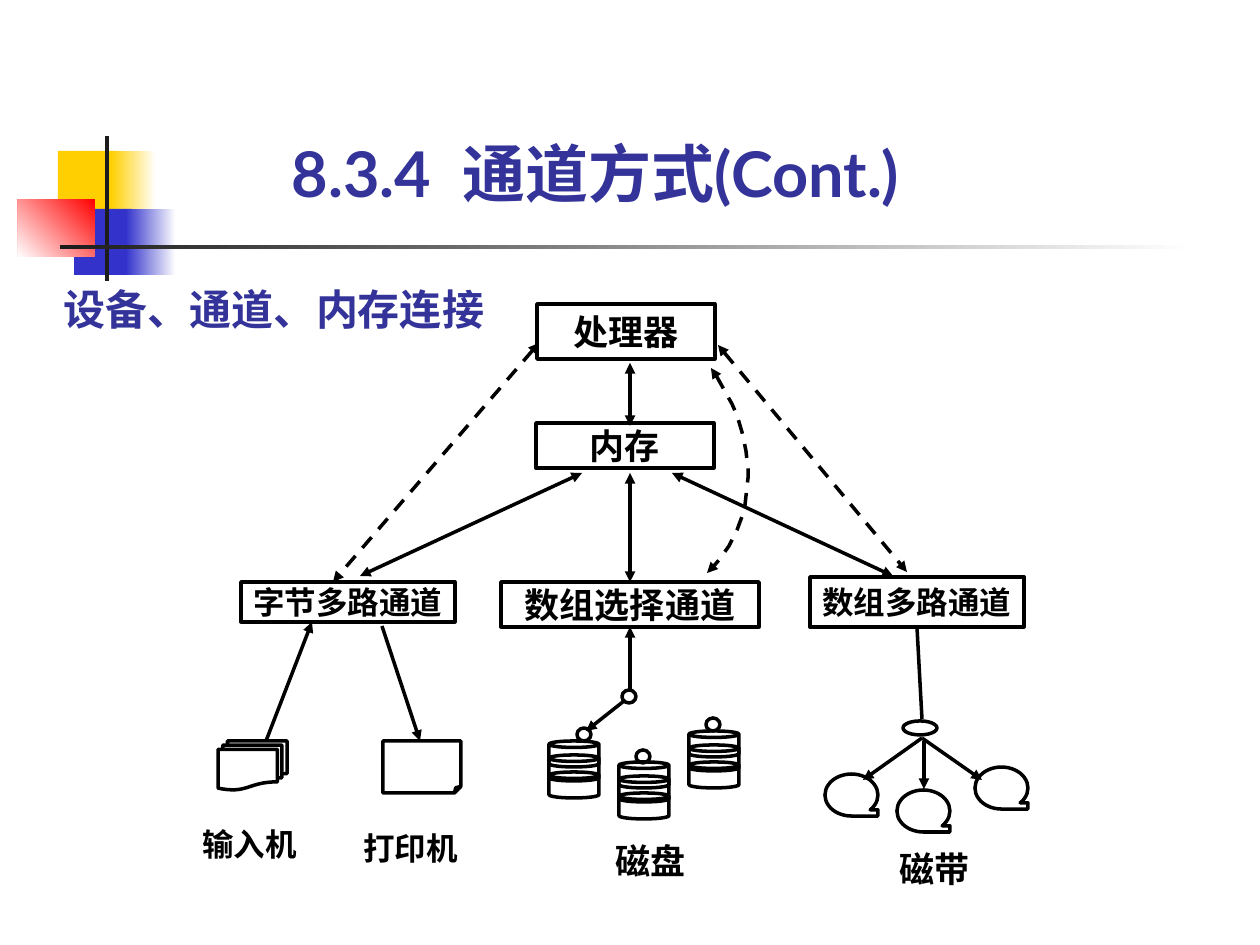
from pptx import Presentation
from pptx import util as u
from pptx.dml.color import RGBColor
from pptx.enum import dml, shapes, text
from pptx.oxml.ns import qn
from lxml import etree

SCALE = 914400 / 126
SHAPE = shapes.MSO_SHAPE
BLACK = "000000"
NAVY = "333399"


def px(value):
    return u.Emu(round(value * SCALE))


def colour(value):
    return RGBColor.from_string(value)


def write(shape, words, size=20, font="Times New Roman", color=BLACK,
          align=text.PP_ALIGN.CENTER, anchor=text.MSO_ANCHOR.MIDDLE):
    frame = shape.text_frame
    frame.word_wrap = True
    frame.auto_size = text.MSO_AUTO_SIZE.NONE
    frame.vertical_anchor = anchor
    frame.margin_left = frame.margin_right = 0
    frame.margin_top = frame.margin_bottom = 0
    paragraph = frame.paragraphs[0]
    paragraph.alignment = align
    run = paragraph.add_run()
    run.text = words
    run.font.size = u.Pt(size)
    run.font.name = font
    run.font.bold = True
    run.font.color.rgb = colour(color)


def write_heading(shape, words, size):
    write(shape, words, size=size, font="Lato", color=NAVY,
          align=text.PP_ALIGN.LEFT, anchor=text.MSO_ANCHOR.BOTTOM)


def add_title(slide, words, left, top, width, height):
    title = slide.shapes.title
    title.left, title.top = px(left), px(top)
    title.width, title.height = px(width), px(height)
    write_heading(title, words, 24)


def add_text_box(slide, left, top, width, height):
    return slide.shapes.add_textbox(px(left), px(top), px(width), px(height))


def add_label(slide, words, left, top, width, height, size):
    write(add_text_box(slide, left, top, width, height), words, size=size)


def style_line(shape, dashed=False, head=False, tail=False):
    shape.line.color.rgb = colour(BLACK)
    shape.line.width = u.Pt(2)
    if dashed:
        shape.line.dash_style = dml.MSO_LINE.DASH
    outline = shape.element.spPr.find(qn("a:ln"))
    for wanted, tag in ((head, "a:headEnd"), (tail, "a:tailEnd")):
        if wanted:
            etree.SubElement(outline, qn(tag), type="triangle")


def add_outline(slide, kind, left, top, width, height):
    shape = slide.shapes.add_shape(kind, px(left), px(top), px(width), px(height))
    shape.shadow.inherit = False
    shape.fill.background()
    style_line(shape)
    return shape


def add_box(slide, words, left, top, width, height, size=20):
    box = add_outline(slide, SHAPE.RECTANGLE, left, top, width, height)
    write(box, words, size=size)
    return box


def add_block(slide, left, top, width, height, start, end=None, angle=180):
    block = slide.shapes.add_shape(
        SHAPE.RECTANGLE, px(left), px(top), px(width), px(height))
    block.shadow.inherit = False
    block.line.fill.background()
    if end is None:
        block.fill.solid()
        block.fill.fore_color.rgb = colour(start)
        return
    block.fill.gradient()
    block.fill.gradient_angle = angle
    for stop, value in zip(block.fill.gradient_stops, (start, end)):
        stop.color.rgb = colour(value)


def add_line(slide, begin, end, **ends):
    line = slide.shapes.add_connector(
        shapes.MSO_CONNECTOR.STRAIGHT, *(px(value) for value in begin + end))
    style_line(line, **ends)
    etree.SubElement(line.element.spPr, qn("a:effectLst"))
    return line


def add_curve(slide, controls, steps=24):
    points = []
    for step in range(steps + 1):
        t = step / steps
        weights = ((1 - t) ** 3, 3 * t * (1 - t) ** 2, 3 * t * t * (1 - t), t ** 3)
        points.append(tuple(
            sum(weight * point[axis] for weight, point in zip(weights, controls))
            for axis in (0, 1)))
    builder = slide.shapes.build_freeform(*points[0], scale=SCALE)
    builder.add_line_segments(points[1:], close=False)
    curve = builder.convert_to_shape()
    curve.shadow.inherit = False
    curve.fill.background()
    style_line(curve, dashed=True, head=True, tail=True)


def add_disk(slide, left, top):
    for offset in (0, 14, 31):
        add_outline(slide, SHAPE.CAN, left, top + offset, 50, 26)


def add_page(slide, left, top, width, height):
    page = add_outline(slide, SHAPE.FOLDED_CORNER, left, top, width, height)
    geometry = page.element.spPr.find(qn("a:prstGeom"))
    guides = geometry.find(qn("a:avLst"))
    etree.SubElement(guides, qn("a:gd"), name="adj", fmla="val 12500")


def add_decoration(slide):
    add_block(slide, 58, 151, 60, 66, "FFCF01")
    add_block(slide, 111, 151, 45, 66, "FFFFFF", "FFCF01")
    add_block(slide, 74, 209, 58, 66, "3333CC")
    add_block(slide, 126, 209, 50, 66, "FFFFFF", "3333CC")
    add_block(slide, 18, 199, 77, 58, "FF0000", "FFFFFF", angle=225)
    add_block(slide, 105, 136, 4, 145, "1C1C1C")
    add_block(slide, 60, 245, 1134, 4, "FFFFFF", "1C1C1C")


def add_devices(slide):
    add_outline(slide, SHAPE.FLOWCHART_MULTIDOCUMENT, 218, 741, 69, 49)
    add_page(slide, 383, 741, 78, 52)
    for left, top in ((549, 741), (619, 762), (689, 731)):
        add_disk(slide, left, top)
    for left, top in ((622, 690), (706, 718), (636, 750), (577, 728)):
        add_outline(slide, SHAPE.OVAL, left, top, 14, 13)
    add_outline(slide, SHAPE.OVAL, 903, 721, 34, 14)
    for left, top in ((825, 774), (975, 767), (897, 790)):
        add_outline(slide, SHAPE.FLOWCHART_SEQUENTIAL_ACCESS_STORAGE,
                    left, top, 53, 42)
    add_label(slide, "输入机", 199, 825, 101, 38, 18)
    add_label(slide, "打印机", 359, 829, 103, 38, 18)
    add_label(slide, "磁盘", 602, 839, 97, 42, 20)
    add_label(slide, "磁带", 883, 847, 103, 42, 20)


def add_links(slide, selector, multiplexer):
    both = {"head": True, "tail": True}
    add_line(slide, (630, 363), (630, 426), **both)
    add_line(slide, (582, 473), (360, 576), **both)
    add_line(slide, (672, 473), (893, 576), **both)
    add_line(slide, (630, 473), (630, 582), **both).end_connect(selector, 0)
    add_line(slide, (539, 343), (333, 582), dashed=True, **both)
    add_line(slide, (718, 345), (907, 572), dashed=True, **both)
    add_curve(slide, ((711, 368), (761, 437), (760, 525), (707, 573)))
    add_line(slide, (630, 690), (630, 627), tail=True).end_connect(selector, 2)
    add_line(slide, (917, 627), (922, 719)).begin_connect(multiplexer, 2)
    for begin, end in (
        ((624, 701), (586, 731)),
        ((382, 626), (420, 741)),
        ((266, 741), (312, 622)),
        ((922, 738), (863, 780)),
        ((922, 738), (982, 780)),
        ((924, 741), (924, 789)),
    ):
        add_line(slide, begin, end, tail=True)


def main():
    presentation = Presentation()
    presentation.slide_width = px(1260)
    presentation.slide_height = px(945)
    slide = presentation.slides.add_slide(presentation.slide_layouts[5])
    add_decoration(slide)
    add_title(slide, "设备、通道、内存连接", 64, 284, 442, 50)
    write_heading(add_text_box(slide, 292, 59, 655, 151),
                  "8.3.4  通道方式(Cont.)", 36)
    add_box(slide, "处理器", 537, 304, 178, 55)
    add_box(slide, "内存", 536, 423, 178, 45)
    add_box(slide, "字节多路通道", 241, 582, 214, 40, size=18)
    selector = add_box(slide, "数组选择通道", 501, 582, 258, 45)
    multiplexer = add_box(slide, "数组多路通道", 810, 577, 214, 50, size=18)
    add_devices(slide)
    add_links(slide, selector, multiplexer)
    presentation.save("out.pptx")


if __name__ == "__main__":
    main()
